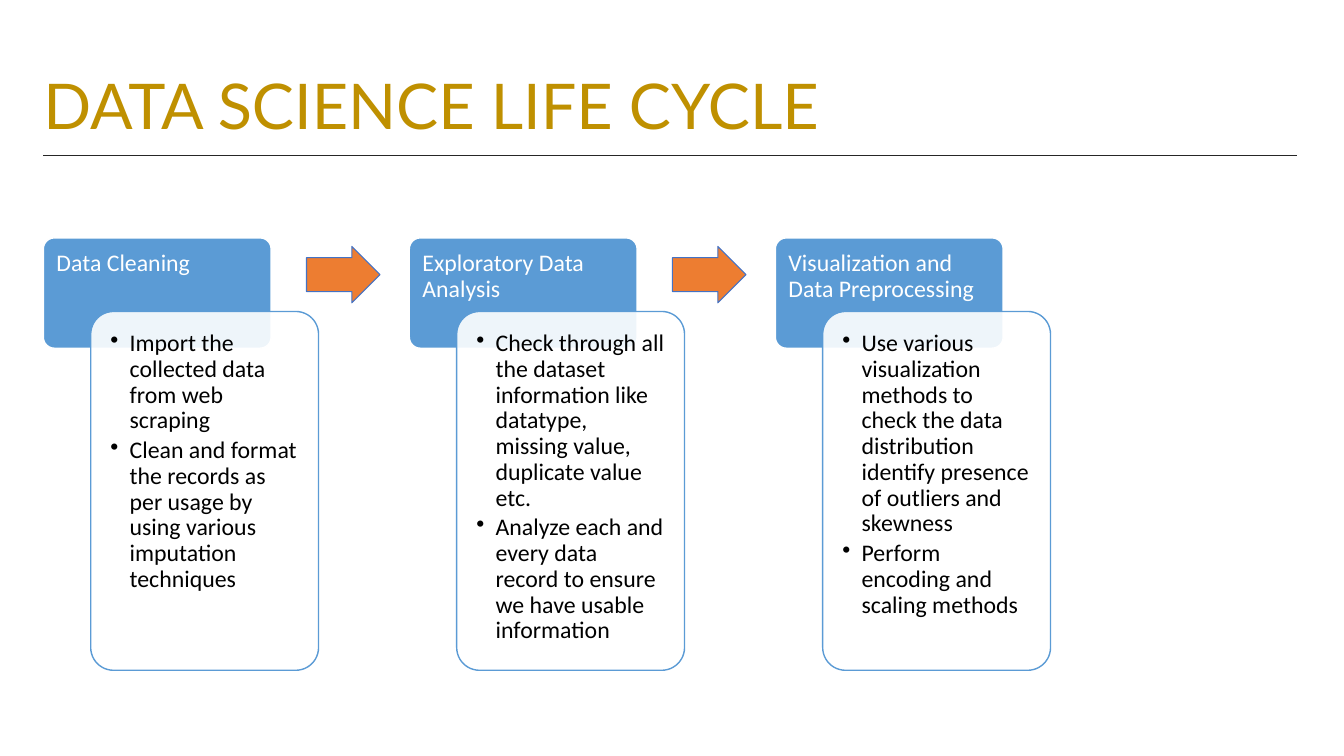
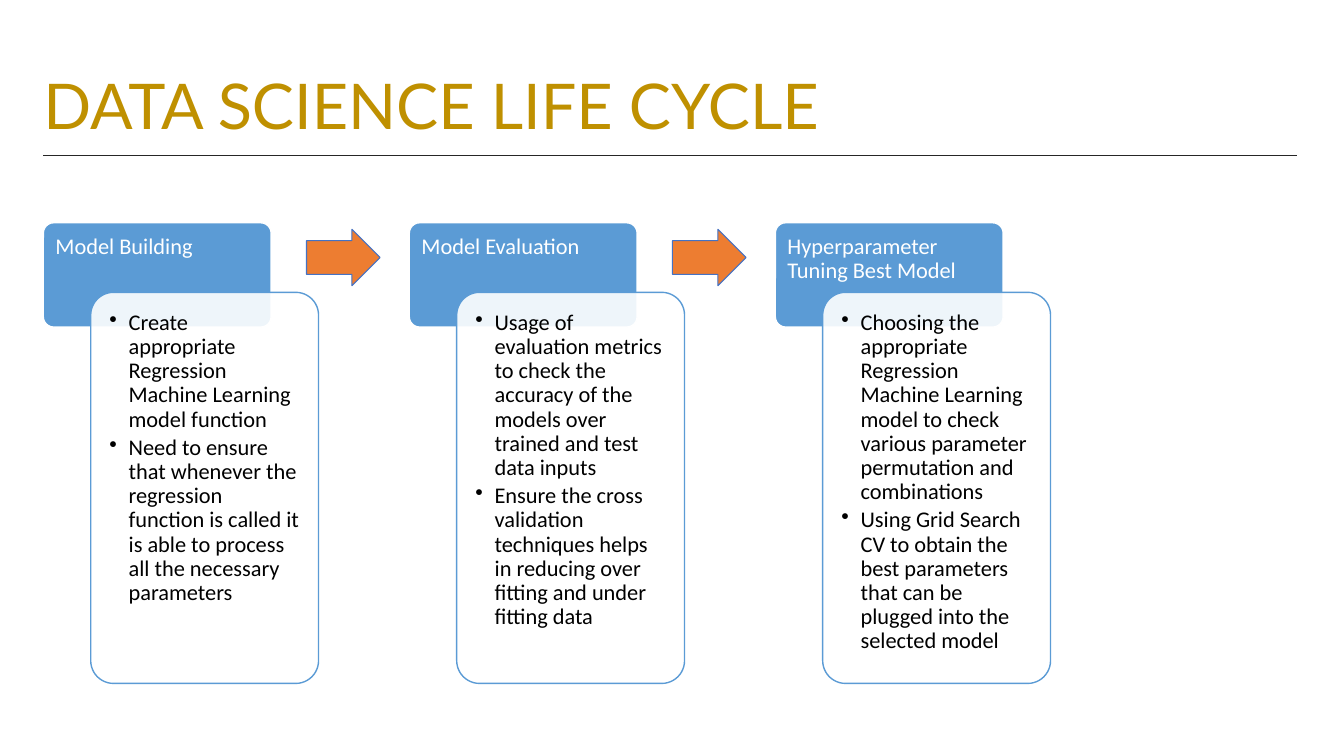
from lxml.etree import SubElement
from pptx import Presentation
from pptx.dml.color import RGBColor
from pptx.enum.shapes import MSO_CONNECTOR, MSO_SHAPE
from pptx.enum.text import MSO_ANCHOR, MSO_AUTO_SIZE, PP_ALIGN
from pptx.oxml.ns import qn
from pptx.util import Inches, Pt

GOLD = RGBColor(0xBF, 0x90, 0x00)
CHARCOAL = RGBColor(0x26, 0x26, 0x26)
BLUE = RGBColor(0x5B, 0x9B, 0xD5)
ARROW_EDGE = RGBColor(0x44, 0x72, 0xC4)
ORANGE = RGBColor(0xED, 0x7D, 0x31)
WHITE = RGBColor(0xFF, 0xFF, 0xFF)
BLACK = RGBColor(0x00, 0x00, 0x00)

TITLE = "DATA SCIENCE LIFE CYCLE"
TITLE_FONT = "Lato"
BODY_FONT = "Calibri"
MARGIN = 0.43
CONTENT_WIDTH = 12.43
STEP_PITCH = 3.63
CARD_WIDTH = 2.26
CARD_OFFSET = 0.47
ARROW_OFFSET = 2.61
ARROW_WIDTH = 0.73
ARROW_HEIGHT = 0.56
BULLET_INDENT = 0.19

PAGES = [
    {
        "top": 2.36, "label_height": 0.73, "card_height": 3.56, "size": 17, "inset": 0.13,
        "steps": [
            ("Data Cleaning", [
                "Import the collected data from web scraping",
                "Clean and format the records as per usage by using various imputation techniques",
            ]),
            ("Exploratory Data Analysis", [
                "Check through all the dataset information like datatype, missing value, "
                "duplicate value etc.",
                "Analyze each and every data record to ensure we have usable information",
            ]),
            ("Visualization and Data Preprocessing", [
                "Use various visualization methods to check the data distribution identify "
                "presence of outliers and skewness",
                "Perform encoding and scaling methods",
            ]),
        ],
    },
    {
        "top": 2.21, "label_height": 0.69, "card_height": 3.88, "size": 16, "inset": 0.12,
        "steps": [
            ("Model Building", [
                "Create appropriate Regression Machine Learning model function",
                "Need to ensure that whenever the regression function is called it is able to "
                "process all the necessary parameters",
            ]),
            ("Model Evaluation", [
                "Usage of evaluation metrics to check the accuracy of the models over trained "
                "and test data inputs",
                "Ensure the cross validation techniques helps in reducing over fitting and "
                "under fitting data",
            ]),
            ("Hyperparameter Tuning Best Model", [
                "Choosing the appropriate Regression Machine Learning model to check various "
                "parameter permutation and combinations",
                "Using Grid Search CV to obtain the best parameters that can be plugged into "
                "the selected model",
            ]),
        ],
    },
]


def write_text(box, lines, *, size, color, font=BODY_FONT, insets=(0, 0, 0, 0),
               anchor=MSO_ANCHOR.TOP, bullet=False, space_after=0):
    frame = box.text_frame
    frame.word_wrap = True
    frame.auto_size = MSO_AUTO_SIZE.NONE
    frame.vertical_anchor = anchor
    (frame.margin_left, frame.margin_top,
     frame.margin_right, frame.margin_bottom) = map(Inches, insets)
    for index, line in enumerate(lines):
        para = frame.add_paragraph() if index else frame.paragraphs[0]
        para.alignment = PP_ALIGN.LEFT
        para.line_spacing = 0.9
        para.space_before = Pt(0)
        para.space_after = Pt(space_after)
        span = para.add_run()
        span.text = line
        span.font.name = font
        span.font.size = Pt(size)
        span.font.color.rgb = color
        if bullet:
            properties = para._p.get_or_add_pPr()
            properties.set("marL", str(Inches(BULLET_INDENT)))
            properties.set("indent", str(-Inches(BULLET_INDENT)))
            SubElement(properties, qn("a:buChar")).set("char", "•")


def add_block(page, kind, left, top, width, height, *, fill, line, weight=1,
              adjustments=(0.1,), opacity=None):
    box = page.shapes.add_shape(kind, Inches(left), Inches(top), Inches(width), Inches(height))
    box.shadow.inherit = False
    for index, value in enumerate(adjustments):
        box.adjustments[index] = value
    box.fill.solid()
    box.fill.fore_color.rgb = fill
    box.line.color.rgb = line
    box.line.width = Pt(weight)
    if opacity is not None:
        color = box._element.spPr.find(qn("a:solidFill")).find(qn("a:srgbClr"))
        SubElement(color, qn("a:alpha")).set("val", str(opacity * 1000))
    return box


def add_heading(page, left, top, width, height):
    title = page.shapes.title
    title.left, title.top = Inches(left), Inches(top)
    title.width, title.height = Inches(width), Inches(height)
    write_text(title, [TITLE], size=45, color=GOLD, font=TITLE_FONT,
               insets=(0, 0.05, 0, 0.05), anchor=MSO_ANCHOR.BOTTOM)
    rule_top = Inches(top + height + 0.07)
    rule = page.shapes.add_connector(MSO_CONNECTOR.STRAIGHT, Inches(left), rule_top,
                                     Inches(left + width), rule_top)
    rule.line.color.rgb = CHARCOAL
    rule.line.width = Pt(1)
    SubElement(rule._element.spPr, qn("a:effectLst"))


def add_step(page, left, top, label, points, *, label_height, card_height, size, inset):
    header = add_block(page, MSO_SHAPE.ROUNDED_RECTANGLE, left, top, CARD_WIDTH,
                       label_height * 1.5, fill=BLUE, line=WHITE)
    edge = inset - 0.03
    write_text(header, [label], size=size, color=WHITE, insets=(edge, edge, edge, 0))
    card = add_block(page, MSO_SHAPE.ROUNDED_RECTANGLE, left + CARD_OFFSET, top + label_height,
                     CARD_WIDTH, card_height, fill=WHITE, line=BLUE, opacity=90)
    write_text(card, points, size=size, color=BLACK, insets=(inset,) * 4,
               bullet=True, space_after=3)


def add_step_arrow(page, left, top, label_height):
    add_block(page, MSO_SHAPE.RIGHT_ARROW, left + ARROW_OFFSET,
              top + (label_height - ARROW_HEIGHT) / 2, ARROW_WIDTH, ARROW_HEIGHT,
              fill=ORANGE, line=ARROW_EDGE, weight=0.75, adjustments=(0.6, 0.5))


def add_cycle_page(deck, *, top, steps, label_height, **step_format):
    page = deck.slides.add_slide(deck.slide_layouts[5])
    add_heading(page, MARGIN, 0.37, CONTENT_WIDTH, 1.1)
    for index, (label, points) in enumerate(steps):
        left = MARGIN + index * STEP_PITCH
        add_step(page, left, top, label, points, label_height=label_height, **step_format)
        if index < len(steps) - 1:
            add_step_arrow(page, left, top, label_height)


def main():
    deck = Presentation()
    deck.slide_width = Inches(13.33)
    deck.slide_height = Inches(7.5)
    for content in PAGES:
        add_cycle_page(deck, **content)
    deck.save("out.pptx")


if __name__ == "__main__":
    main()
